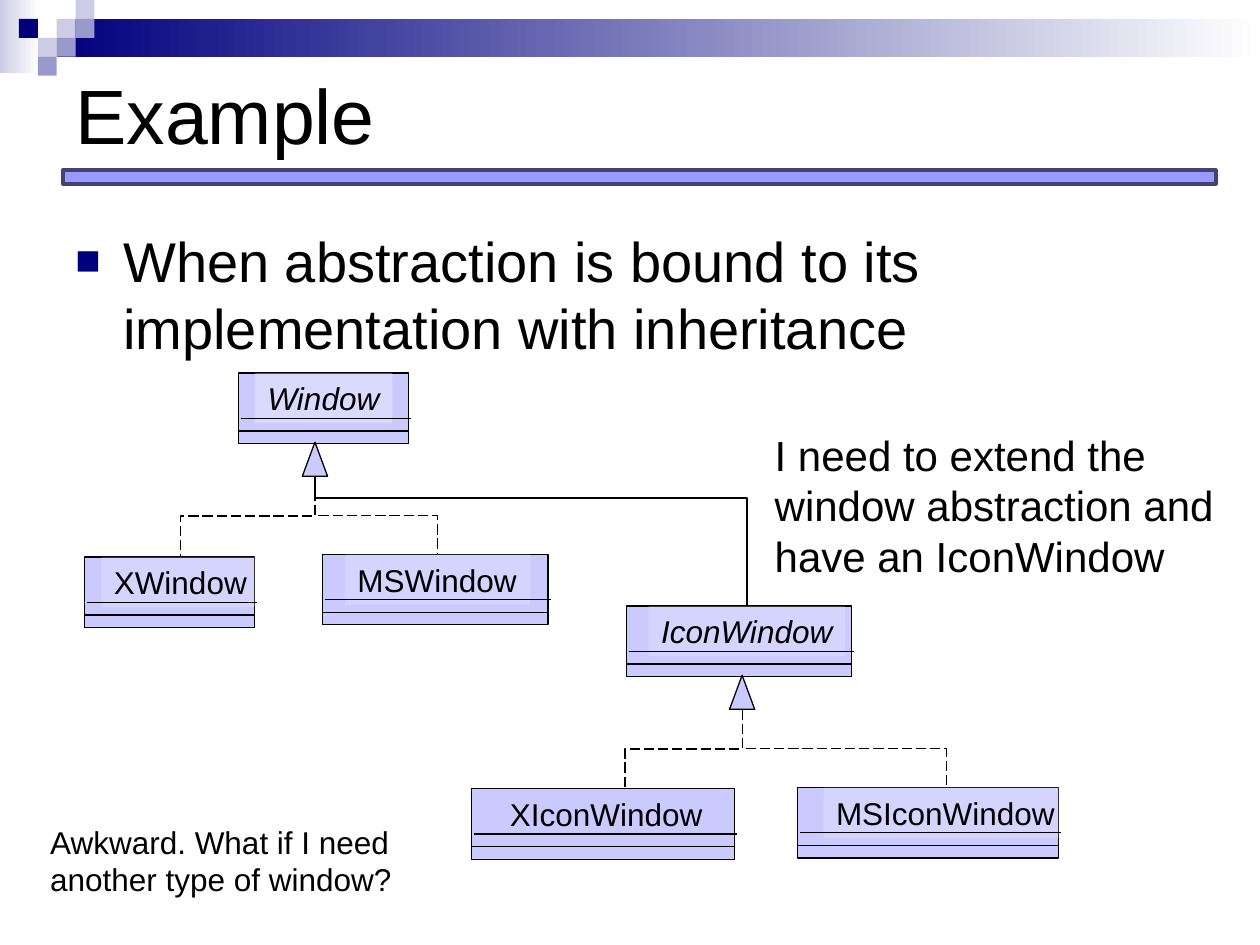
import pptx
import pptx.util
import pptx.dml.color
import pptx.enum.shapes
import pptx.enum.text
import pptx.oxml
import pptx.oxml.ns
from pptx.util import Inches

FONT = "Arial"
BLACK, WHITE, NAVY = "000000", "FFFFFF", "00007D"
PALE, MID, CLASS_FILL = "CCCCE6", "9999CC", "CACAFF"
SHAPES = pptx.enum.shapes.MSO_SHAPE
CONNECTORS = pptx.enum.shapes.MSO_CONNECTOR
ANCHORS = pptx.enum.text.MSO_ANCHOR


def color(value):
    return pptx.dml.color.RGBColor.from_string(value)


def add_xml(parent, tag, **attributes):
    element = pptx.oxml.parse_xml(f"<a:{tag} {pptx.oxml.ns.nsdecls('a')}/>")
    for name, value in attributes.items():
        element.set(name, value)
    parent.append(element)
    return element


def add_box(page, box, fill, line=None, width=0.75, kind=SHAPES.RECTANGLE):
    """Preset shape; a pair of colours as fill gives a left-to-right gradient."""
    shape = page.shapes.add_shape(kind, *map(Inches, box))
    shape.shadow.inherit = False
    if isinstance(fill, tuple):
        shape.fill.gradient()
        shape.fill.gradient_angle = 0
        for stop, value in zip(shape.fill.gradient_stops, fill):
            stop.color.rgb = color(value)
    else:
        shape.fill.solid()
        shape.fill.fore_color.rgb = color(fill)
    if line:
        shape.line.color.rgb = color(line)
        shape.line.width = pptx.util.Pt(width)
    else:
        shape.line.fill.background()
    return shape


def write(shape, lines, size, italic=False, wrap=False, anchor=ANCHORS.TOP):
    frame = shape.text_frame
    frame.word_wrap = wrap
    frame.vertical_anchor = anchor
    for index, line in enumerate(lines):
        para = frame.add_paragraph() if index else frame.paragraphs[0]
        para.alignment = pptx.enum.text.PP_ALIGN.LEFT
        span = para.add_run()
        span.text = line
        span.font.name = FONT
        span.font.size = pptx.util.Pt(size)
        span.font.italic = italic
        span.font.color.rgb = color(BLACK)


def add_text(page, box, lines, size, **options):
    shape = page.shapes.add_textbox(*map(Inches, box))
    write(shape, lines, size, **options)
    return shape


def add_line(page, kind, start, end):
    line = page.shapes.add_connector(kind, *map(Inches, (*start, *end)))
    line.line.color.rgb = color(BLACK)
    line.line.width = pptx.util.Pt(0.75)
    add_xml(line._element.spPr, "effectLst")
    return line


def add_branch(page, start, end, turn=0.5, dashed=True):
    """Elbow that goes down, across and down again."""
    (x1, y1), (x2, y2) = start, end
    middle_x, middle_y = (x1 + x2) / 2, (y1 + y2) / 2
    half_width, half_height = (y2 - y1) / 2, abs(x2 - x1) / 2
    branch = add_line(page, CONNECTORS.ELBOW,
                      (middle_x - half_width, middle_y - half_height),
                      (middle_x + half_width, middle_y + half_height))
    properties = branch._element.spPr
    frame = properties.find(pptx.oxml.ns.qn("a:xfrm"))
    frame.set("rot", str((90 if x2 < x1 else 270) * 60000))
    if x2 > x1:
        frame.set("flipH", "1")
    geometry = properties.find(pptx.oxml.ns.qn("a:prstGeom"))
    guides = geometry.find(pptx.oxml.ns.qn("a:avLst"))
    if guides is None:
        guides = add_xml(geometry, "avLst")
    add_xml(guides, "gd", name="adj1", fmla=f"val {round(turn * 100000)}")
    if dashed:
        branch.line.dash_style = pptx.enum.dml.MSO_LINE.LONG_DASH


def add_banner(page, box):
    left, top, width, height = box
    cell = 0.15
    add_box(page, (left, top, 0.31, 0.58), (PALE, WHITE))
    add_box(page, (left + 3 * cell, top + cell, width - 3 * cell, 0.3), (NAVY, WHITE))
    # Mosaic squares by column and row
    for column, row, fill in ((3, 1, PALE), (4, 0, PALE), (4, 1, MID), (2, 2, PALE),
                              (1, 1, NAVY), (3, 2, MID), (2, 3, MID)):
        add_box(page, (left + column * cell, top + row * cell, cell, cell), fill)
    # Rule under the title
    add_box(page, (left + 0.5, top + 1.35, 9.15, 0.11), "9999FF", "434370", 2)


def add_bullet(page, box, text):
    shape = add_text(page, box, [text], 32, wrap=True)
    layout = shape.text_frame.paragraphs[0]._p.get_or_add_pPr()
    layout.set("marL", str(Inches(0.38)))
    layout.set("indent", str(Inches(-0.38)))
    add_xml(add_xml(layout, "spcBef"), "spcPct", val="20000")
    add_xml(add_xml(layout, "buClr"), "srgbClr", val=NAVY)
    add_xml(layout, "buSzPct", val="75000")
    add_xml(layout, "buFont", typeface=FONT)
    add_xml(layout, "buChar", char="■")


def add_class(page, box, name, label_width, opacity=20, italic=False):
    left, top, width, height = box
    add_box(page, box, CLASS_FILL, BLACK)
    label_box = (left + width / 10, top, label_width, 0.4)
    if opacity:
        label = add_box(page, label_box, WHITE)
        tint = label._element.spPr.find(".//" + pptx.oxml.ns.qn("a:srgbClr"))
        add_xml(tint, "alpha", val=str(opacity * 1000))
        write(label, [name], 18, italic=italic)
    else:
        add_text(page, label_box, [name], 18, italic=italic, wrap=True)
    # Compartment lines
    for shift, drop in ((0.02, 0.36), (0, 0.46)):
        add_line(page, CONNECTORS.STRAIGHT, (left + shift, top + drop),
                 (left + shift + width, top + drop))


def add_inheritance(page, box, children):
    """Triangle under a parent class, with a dashed branch to each child."""
    left, top, width, height = box
    add_box(page, box, CLASS_FILL, BLACK, kind=SHAPES.ISOSCELES_TRIANGLE)
    for child in children:
        add_branch(page, (left + width / 2, top + height), child)


def add_diagram(page, box):
    left, top, width, height = box
    # Classes: offset, width, name, label width, label opacity, italic
    for x, y, class_width, name, label_width, opacity, italic in (
            (1.22, 0, 1.35, "Window", 1.09, 30, True),
            (0, 1.46, 1.35, "XWindow", 1.26, 20, False),
            (1.89, 1.44, 1.79, "MSWindow", 1.47, 20, False),
            (4.3, 1.85, 1.79, "IconWindow", 1.56, 20, True),
            (5.66, 3.29, 2.07, "MSIconWindow", 1.94, 20, False),
            (3.07, 3.3, 2.09, "XIconWindow", 2.02, 0, False)):
        add_class(page, (left + x, top + y, class_width, 0.56), name,
                  label_width, opacity, italic)
    # Inheritance branches
    add_inheritance(page, (left + 1.73, top + 0.55, 0.2, 0.27),
                    [(left + 0.76, top + 1.45), (left + 2.8, top + 1.44)])
    add_inheritance(page, (left + 5.12, top + 2.4, 0.2, 0.27),
                    [(left + 4.29, top + 3.3), (left + 6.84, top + 3.29)])
    add_branch(page, (left + 1.83, top + 0.82), (left + 5.26, top + 1.84),
               turn=0.17, dashed=False)


def main():
    deck = pptx.Presentation()
    deck.slide_width, deck.slide_height = Inches(10), Inches(7.5)
    page = deck.slides.add_slide(deck.slide_layouts[6])
    add_banner(page, (0, 0, 10, 1.46))
    add_text(page, (0.5, 0.15, 9, 1.5), ["Example"], 44, wrap=True, anchor=ANCHORS.MIDDLE)
    add_bullet(page, (0.5, 1.75, 9, 1.21),
               "When abstraction is bound to its implementation with inheritance")
    add_diagram(page, (0.67, 2.96, 7.73, 3.86))
    # Comments beside the diagram
    add_text(page, (6.05, 3.36, 3.69, 1.3),
             ["I need to extend the", "window abstraction and", "have an IconWindow"], 24)
    add_text(page, (0.3, 6.48, 2.97, 0.7),
             ["Awkward. What if I need", "another type of window?"], 18)
    deck.save("out.pptx")


if __name__ == "__main__":
    import pptx.enum.dml
    main()
